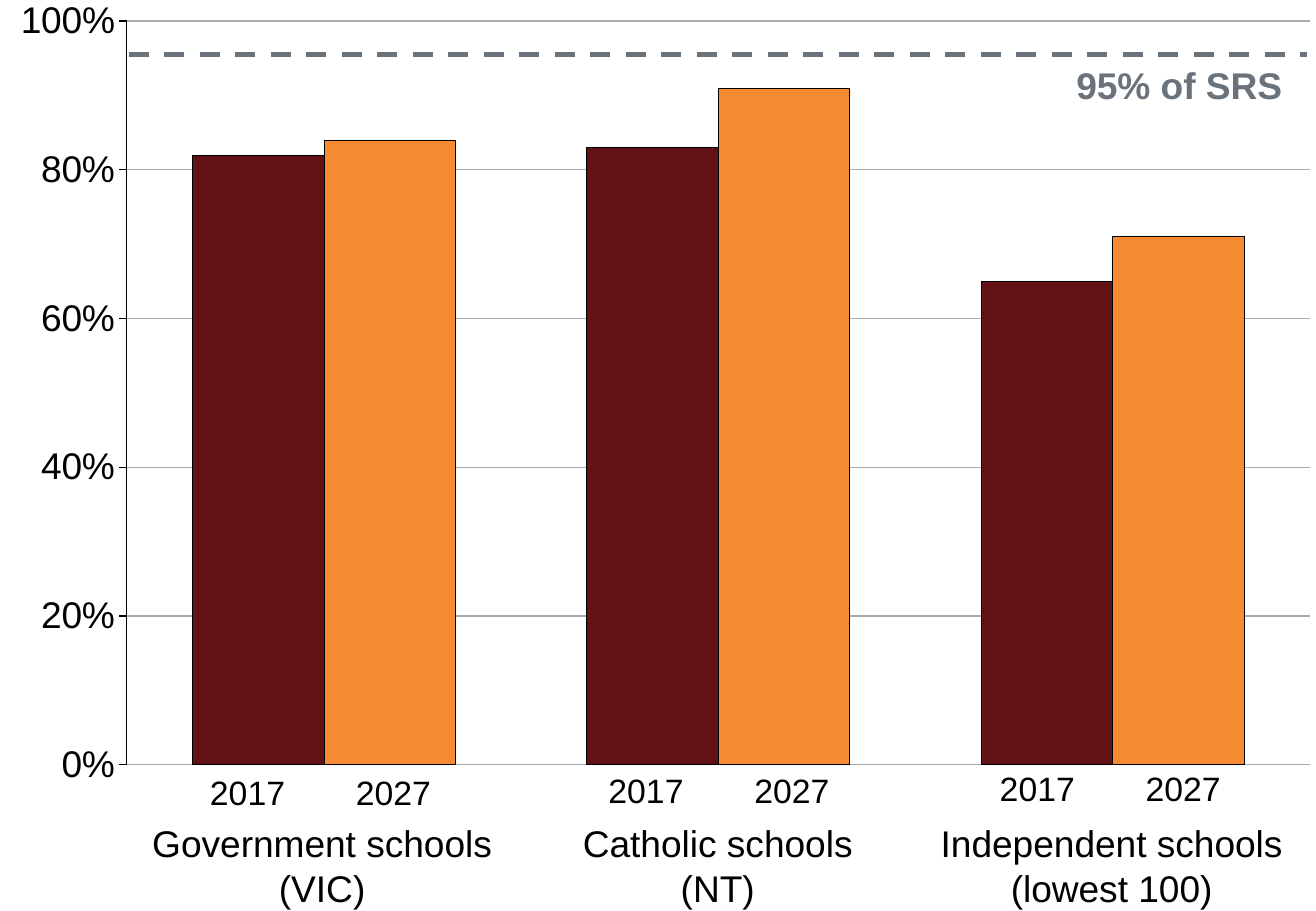
from collections import namedtuple

from lxml.etree import SubElement
from pptx import Presentation
from pptx.chart.data import CategoryChartData as ChartData
from pptx.dml.color import RGBColor as Rgb
from pptx.enum.chart import XL_CHART_TYPE as ChartType, XL_TICK_MARK as Tick
from pptx.enum.dml import MSO_LINE as Dash
from pptx.enum.shapes import MSO_CONNECTOR as Link
from pptx.enum.text import MSO_AUTO_SIZE as Fit, PP_ALIGN as Align
from pptx.oxml.ns import qn
from pptx.util import Cm, Pt

Theme = namedtuple("Theme", "font ink grid mark bars small large")
theme = Theme(
    font="Arial",
    ink=Rgb.from_string("000000"),
    grid=Rgb.from_string("A4ABB1"),
    mark=Rgb.from_string("6A737B"),
    bars=[Rgb.from_string("621214"), Rgb.from_string("F68B33")],
    small=Pt(20),
    large=Pt(22),
)


def add_label(place, text, size, color=theme.ink, bold=False, wrap=False, align=Align.LEFT):
    left, top, width, height = [Cm(n) for n in place]
    frame = slide.shapes.add_textbox(left, top, width, height).text_frame
    frame.text = text
    frame.word_wrap = wrap
    frame.auto_size = Fit.SHAPE_TO_FIT_TEXT
    for para in frame.paragraphs:
        para.alignment = align
        font = para.runs[0].font
        font.name, font.size, font.bold = theme.font, size, bold
        font.color.rgb = color
    return frame


deck = Presentation()
deck.slide_width, deck.slide_height = Cm(27.51), Cm(19.05)
slide = deck.slides.add_slide(deck.slide_layouts[6])

# Column chart
years = ["2017", "2027"]
data = ChartData(number_format="0%")
data.categories = ["Government", "Catholic", "Independent"]
for year, shares in zip(years, [(0.82, 0.83, 0.65), (0.84, 0.91, 0.71)]):
    data.add_series(year, shares)
chart = slide.shapes.add_chart(
    ChartType.COLUMN_CLUSTERED, Cm(-0.3), Cm(-0.1), Cm(28.07), Cm(16.87), data
).chart
chart.has_legend = False
chart.has_title = False
chart.font.name, chart.font.size = theme.font, Pt(18)
chart.font.color.rgb = theme.ink

plot = chart.plots[0]
plot.gap_width, plot.overlap = 100, 0
plot.vary_by_categories = False
for series, color in zip(plot.series, theme.bars):
    series.format.fill.solid()
    series.format.fill.fore_color.rgb = color
    series.format.line.color.rgb = theme.ink
    series.format.line.width = Pt(0.25)

chart.category_axis.visible = False
axis = chart.value_axis
axis.minimum_scale, axis.maximum_scale, axis.major_unit = 0, 1, 0.2
axis.major_tick_mark, axis.minor_tick_mark = Tick.OUTSIDE, Tick.NONE
axis.tick_labels.number_format = "0%"
axis.tick_labels.number_format_is_linked = False
axis.tick_labels.font.size = theme.large
axis.has_major_gridlines = True
for line, color in [(axis.format.line, theme.ink), (axis.major_gridlines.format.line, theme.grid)]:
    line.color.rgb = color
    line.width = Pt(0.75)

# Fixed inner plot area
area = plot._element.getparent()
for old in area.findall(qn("c:layout")):
    area.remove(old)
layout = SubElement(area, qn("c:layout"))
area.insert(0, layout)
manual = SubElement(layout, qn("c:manualLayout"))
for tag, val in [
    ("layoutTarget", "inner"), ("xMode", "edge"), ("yMode", "edge"),
    ("x", "0.105"), ("y", "0.032"), ("w", "0.881"), ("h", "0.922"),
]:
    SubElement(manual, qn("c:" + tag)).set("val", val)

# Year and school labels
groups = [
    ("Government schools\n(VIC)", 2.67, 8.13, 4.29, 16.03),
    ("Catholic schools\n(NT)", 11.73, 6.55, 12.62, 16),
    ("Independent schools\n(lowest 100)", 19.15, 8.18, 20.8, 15.96),
]
for name, left, width, start, top in groups:
    for i, year in enumerate(years):
        frame = add_label((start + 3.05 * i, top, 1.88, 1.14), year, theme.small)
        frame.margin_left = frame.margin_right = frame.margin_top = Cm(0.1)
        frame.margin_bottom = Cm(0.13)
    add_label((left, 17.04, width, 2.24), name, theme.large, align=Align.CENTER)

# Target line
target = slide.shapes.add_connector(Link.STRAIGHT, Cm(2.69), Cm(1.14), Cm(27.33), Cm(1.14))
target.line.color.rgb = theme.mark
target.line.width = Pt(3)
target.line.dash_style = Dash.DASH
SubElement(target._element.spPr, qn("a:effectLst"))
add_label((22.25, 1.19, 5.94, 1.24), "95% of SRS", theme.large, theme.mark, bold=True, wrap=True)

deck.save("out.pptx")
